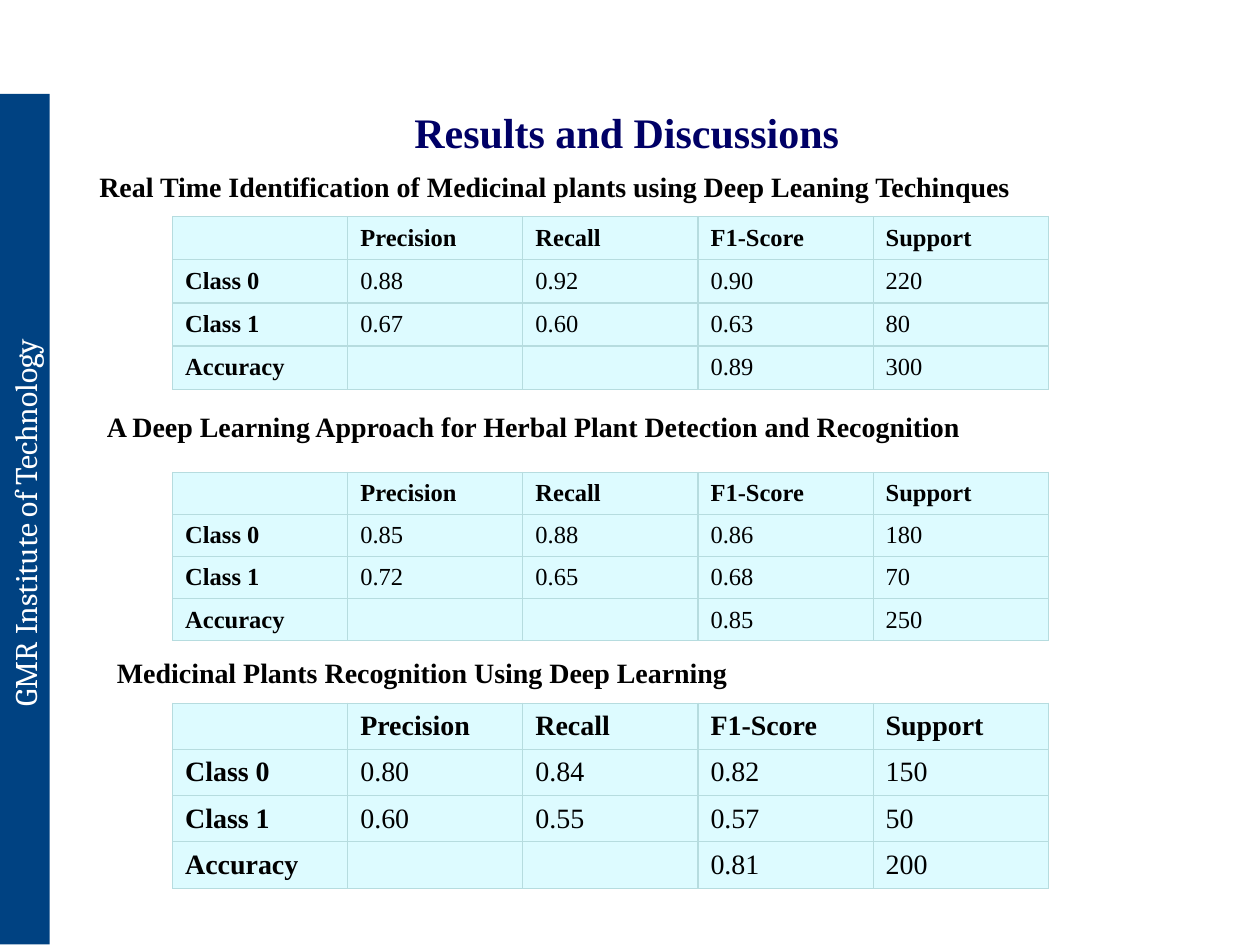
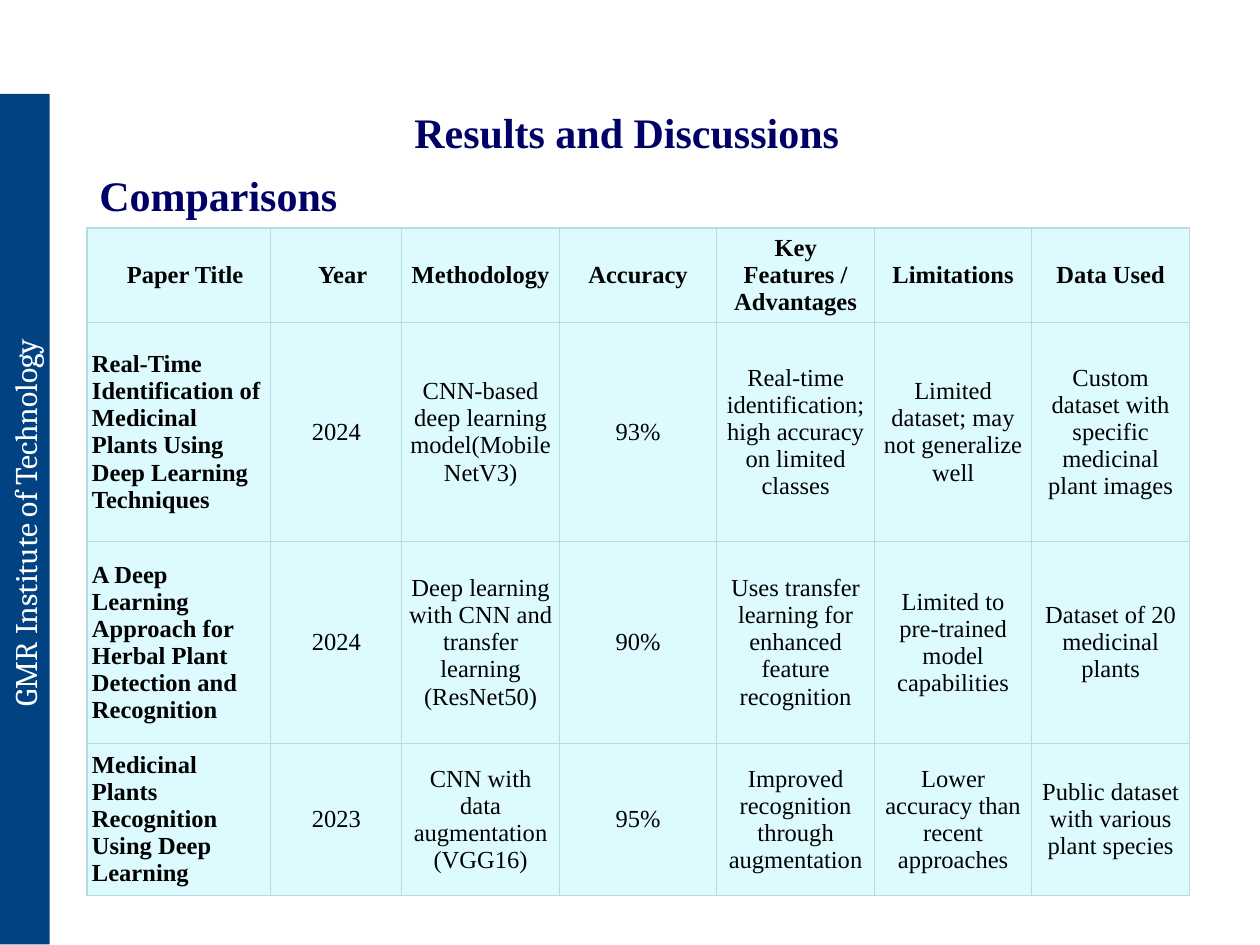
from lxml import etree
from pptx import Presentation
from pptx.dml.color import RGBColor
from pptx.enum.shapes import MSO_SHAPE
from pptx.enum.text import MSO_ANCHOR, PP_ALIGN
from pptx.oxml.ns import qn
from pptx.util import Inches, Pt

INSTITUTE = "GMR Institute of Technology "
TITLE = "Results and Discussions"
SUBTITLE = "Comparisons"

METRICS = ("", "Precision", "Recall", "F1-Score", "Support")

# heading, heading left and top, table top and height, text size, rows
STUDIES = [
    ("Real Time Identification of Medicinal plants using Deep Leaning Techinques",
     0.69, 1.3, 1.72, 1.37, 14,
     [("Class 0", "0.88", "0.92", "0.90", "220"),
      ("Class 1", "0.67", "0.60", "0.63", "80"),
      ("Accuracy", "", "", "0.89", "300")]),
    ("A Deep Learning Approach for Herbal Plant Detection and Recognition",
     0.75, 3.2, 3.75, 1.33, 14,
     [("Class 0", "0.85", "0.88", "0.86", "180"),
      ("Class 1", "0.72", "0.65", "0.68", "70"),
      ("Accuracy", "", "", "0.85", "250")]),
    ("Medicinal Plants Recognition Using Deep Learning",
     0.83, 5.15, 5.58, 1.47, 16,
     [("Class 0", "0.80", "0.84", "0.82", "150"),
      ("Class 1", "0.60", "0.55", "0.57", "50"),
      ("Accuracy", "", "", "0.81", "200")]),
]

PAPERS = [
    ("Paper Title", "Year", "Methodology", "Accuracy",
     "Key Features / Advantages", "Limitations", "Data Used"),
    ("Real-Time Identification of Medicinal Plants Using Deep Learning Techniques",
     "2024", "CNN-based deep learning model(MobileNetV3)", "93%",
     "Real-time identification; high accuracy on limited classes",
     "Limited dataset; may not generalize well",
     "Custom dataset with specific medicinal plant images"),
    ("A Deep Learning Approach for Herbal Plant Detection and Recognition",
     "2024", "Deep learning with CNN and transfer learning\n(ResNet50)", "90%",
     "Uses transfer learning for enhanced feature recognition",
     "Limited to pre-trained model capabilities",
     "Dataset of 20 medicinal plants"),
    ("Medicinal Plants Recognition Using Deep Learning",
     "2023", "CNN with data augmentation\n(VGG16)", "95%",
     "Improved recognition through augmentation",
     "Lower accuracy than recent approaches",
     "Public dataset with various plant species"),
]
PAPER_WIDTHS = [1.46, 1.04] + [1.25] * 5
PAPER_HEIGHTS = [0.75, 1.74, 1.6, 1.2]

BAND, NAVY, BLACK, WHITE = "004282", "000066", "000000", "FFFFFF"
CELL_FILL, CELL_BORDER = "DDFBFF", "B6DCDF"
BODY_FONT, BAND_FONT = "Times New Roman", "Cambria"


def rgb(color):
    return RGBColor.from_string(color)


def style(paragraph, size, color=BLACK, bold=False, font=BODY_FONT):
    for run in paragraph.runs:
        run.font.name = font
        run.font.size = Pt(size)
        run.font.bold = bold
        run.font.color.rgb = rgb(color)


def add_heading(slide, text, left, top, width, height, size, color):
    frame = slide.shapes.add_textbox(
        Inches(left), Inches(top), Inches(width), Inches(height)).text_frame
    frame.word_wrap = True
    frame.text = text
    style(frame.paragraphs[0], size, color, bold=True)


def add_results_slide(deck):
    """Add a slide with the side band and the common title."""
    slide = deck.slides.add_slide(deck.slide_layouts[6])
    band = slide.shapes.add_shape(MSO_SHAPE.RECTANGLE, Inches(-3.18),
                                  Inches(3.92), Inches(6.75), Inches(0.4))
    band.rotation = 270
    band.shadow.inherit = False
    band.fill.solid()
    band.fill.fore_color.rgb = rgb(BAND)
    band.line.fill.background()
    band.text_frame.text = INSTITUTE
    label = band.text_frame.paragraphs[0]
    label.alignment = PP_ALIGN.CENTER
    style(label, 18, WHITE, font=BAND_FONT)
    add_heading(slide, TITLE, 3.19, 0.8, 4.02, 0.5, 24, NAVY)
    return slide


def add_borders(cell):
    properties = cell._tc.get_or_add_tcPr()
    for position, side in enumerate(("a:lnL", "a:lnR", "a:lnT", "a:lnB")):
        line = etree.Element(qn(side), w=str(Pt(0.75)))
        fill = etree.SubElement(line, qn("a:solidFill"))
        etree.SubElement(fill, qn("a:srgbClr"), val=CELL_BORDER)
        properties.insert(position, line)


def add_grid(slide, rows, left, top, widths, heights, size):
    """Add a table whose first row and first column are bold."""
    table = slide.shapes.add_table(
        len(rows), len(widths), Inches(left), Inches(top),
        Inches(sum(widths)), Inches(sum(heights))).table
    table.first_row = table.horz_banding = False
    for column, width in zip(table.columns, widths):
        column.width = Inches(width)
    for row, height in zip(table.rows, heights):
        row.height = Inches(height)
    for r, texts in enumerate(rows):
        for c, text in enumerate(texts):
            cell = table.cell(r, c)
            cell.fill.solid()
            cell.fill.fore_color.rgb = rgb(CELL_FILL)
            add_borders(cell)
            cell.vertical_anchor = MSO_ANCHOR.MIDDLE
            cell.text_frame.text = text
            for paragraph in cell.text_frame.paragraphs:
                style(paragraph, size, bold=r == 0 or c == 0)
                if not text:
                    etree.SubElement(paragraph._p, qn("a:endParaRPr"),
                                     sz=str(size * 100))
    return table


def add_metrics_slide(deck):
    slide = add_results_slide(deck)
    for heading, left, top, table_top, table_height, size, rows in STUDIES:
        add_heading(slide, heading, left, top, 8.93, 0.37, 16, BLACK)
        all_rows = [METRICS] + rows
        heights = [table_height / len(all_rows)] * len(all_rows)
        add_grid(slide, all_rows, 1.37, table_top,
                 [1.39] * len(METRICS), heights, size)


def add_comparison_slide(deck):
    slide = add_results_slide(deck)
    add_heading(slide, SUBTITLE, 0.69, 1.3, 9.07, 0.5, 24, NAVY)
    table = add_grid(slide, PAPERS, 0.69, 1.81,
                     PAPER_WIDTHS, PAPER_HEIGHTS, 14)
    for r in range(len(PAPERS)):
        for c in range(len(PAPER_WIDTHS)):
            cell = table.cell(r, c)
            indented = r == 0 and c < 2
            cell.margin_left = Inches(0.14 if indented else 0.04)
            cell.margin_right = Inches(0.04)
            cell.margin_top = cell.margin_bottom = Inches(0.02)
            if r == 0 or c > 0:
                for paragraph in cell.text_frame.paragraphs:
                    paragraph.alignment = PP_ALIGN.CENTER


def main():
    deck = Presentation()
    deck.slide_width, deck.slide_height = Inches(10), Inches(7.5)
    add_metrics_slide(deck)
    add_comparison_slide(deck)
    deck.save("out.pptx")


if __name__ == "__main__":
    main()
